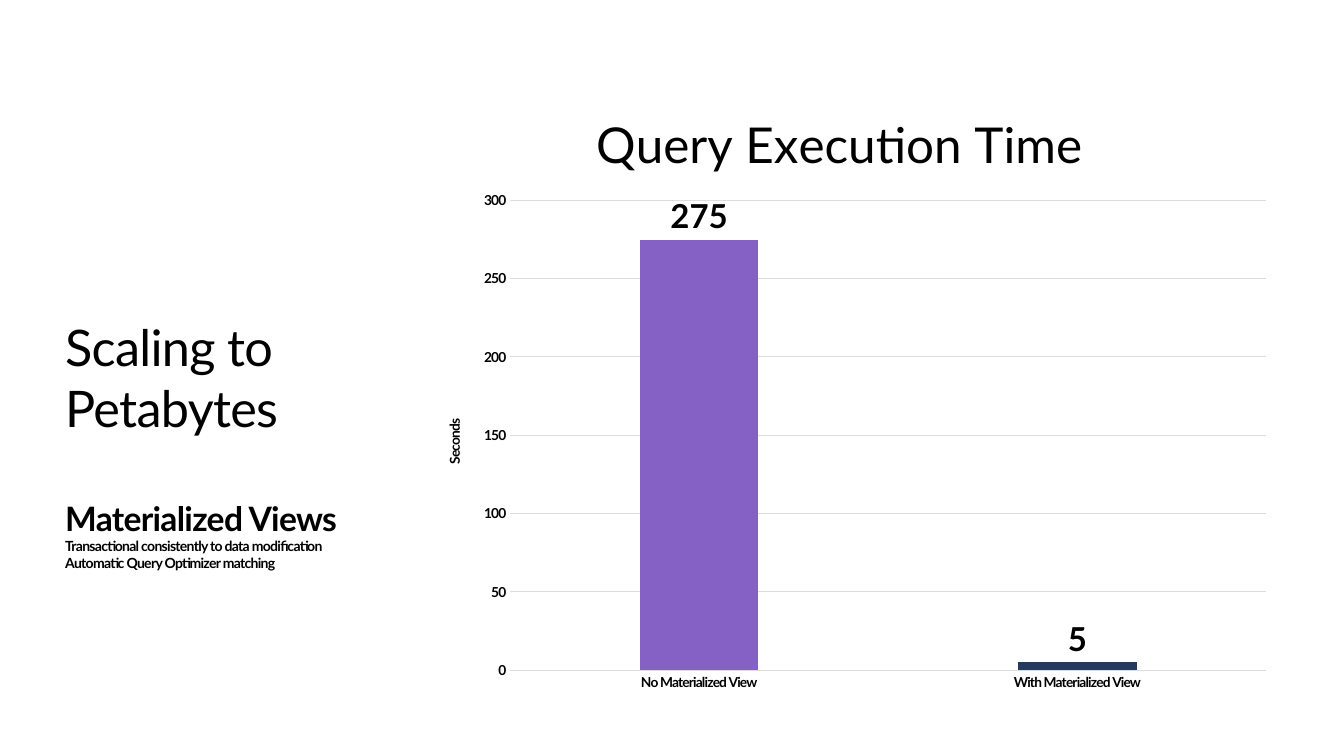
from dataclasses import dataclass

from lxml import etree
from pptx import Presentation
from pptx.chart.data import CategoryChartData
from pptx.dml.color import RGBColor
from pptx.enum import chart as ch, text
from pptx.oxml import ns
from pptx.util import Inches, Pt


@dataclass(frozen=True)
class Theme:
    font: str = "Lato"
    ink: str = "000000"
    grid: str = "DDDDDD"
    before: str = "8661C5"
    after: str = "243A5E"
    heading: float = 36.7
    subheading: float = 24.5
    body: float = 10.2
    chart_title: float = 36
    label: float = 24
    axis: float = 10


THEME = Theme()
TIGHT = "-50"


def style(font, size, bold=False):
    font.name = THEME.font
    font.size = Pt(size)
    font.bold = bold
    font.color.rgb = RGBColor.from_string(THEME.ink)


def tighten(element):
    for tag in ("a:rPr", "a:defRPr"):
        for props in element.iter(ns.qn(tag)):
            props.set("spc", TIGHT)


def set_line(line, color):
    line.color.rgb = RGBColor.from_string(color)
    line.width = Pt(0.75)


def set_fill(fill, color):
    fill.solid()
    fill.fore_color.rgb = RGBColor.from_string(color)


def place(parent, index, **fractions):
    for old in parent.findall(ns.qn("c:layout")):
        parent.remove(old)
    layout = etree.Element(ns.qn("c:layout"))
    manual = etree.SubElement(layout, ns.qn("c:manualLayout"))
    if "w" in fractions:
        etree.SubElement(manual, ns.qn("c:layoutTarget")).set("val", "inner")
    for side in ("x", "y"):
        etree.SubElement(manual, ns.qn(f"c:{side}Mode")).set("val", "edge")
    for name, value in fractions.items():
        etree.SubElement(manual, ns.qn(f"c:{name}")).set("val", str(value))
    parent.insert(index, layout)


def add_summary(s, left, top, width, height):
    tf = s.shapes.add_textbox(left, top, width, height).text_frame
    tf.word_wrap = True
    tf.margin_left = tf.margin_right = tf.margin_top = tf.margin_bottom = 0
    tf.vertical_anchor = text.MSO_ANCHOR.TOP
    lines = [
        ("Scaling to Petabytes", THEME.heading, False, 0),
        ("Materialized Views", THEME.subheading, True, 44),
        ("Transactional consistently to data modification", THEME.body, True, 0),
        ("Automatic Query Optimizer matching", THEME.body, True, 0),
    ]
    tf.text = "\n".join(line[0] for line in lines)
    for p, (_, size, bold, gap) in zip(tf.paragraphs, lines):
        p.space_before = Pt(gap)
        style(p.runs[0].font, size, bold)
        tighten(p.runs[0]._r)


def style_axis(axis):
    axis.major_tick_mark = axis.minor_tick_mark = ch.XL_TICK_MARK.NONE
    style(axis.tick_labels.font, THEME.axis, True)


def add_query_chart(s, left, top, width, height):
    data = CategoryChartData()
    data.categories = ["No Materialized View", "With Materialized View"]
    data.add_series("Series 1", (275, 5))
    chart = s.shapes.add_chart(
        ch.XL_CHART_TYPE.COLUMN_CLUSTERED, left, top, width, height, data
    ).chart
    chart.has_legend = False
    style(chart.font, THEME.axis)

    category, value = chart.category_axis, chart.value_axis
    style_axis(category)
    set_line(category.format.line, THEME.grid)
    style_axis(value)
    value.minimum_scale, value.maximum_scale, value.major_unit = 0, 300, 50
    value.format.line.fill.background()
    value.has_major_gridlines = True
    set_line(value.major_gridlines.format.line, THEME.grid)
    tf = value.axis_title.text_frame
    tf.text = "Seconds"
    style(tf.paragraphs[0].runs[0].font, THEME.axis, True)
    for axis in (category, value):
        tighten(axis._element)

    plot = chart.plots[0]
    plot.gap_width, plot.overlap = 219, -27
    plot.vary_by_categories = False
    series = plot.series[0]
    set_fill(series.format.fill, THEME.before)
    set_fill(series.points[1].format.fill, THEME.after)
    labels = series.data_labels
    labels.show_value = True
    labels.position = ch.XL_LABEL_POSITION.OUTSIDE_END
    style(labels.font, THEME.label, True)

    chart.has_title = True
    title = chart.chart_title
    title.text_frame.text = "Query Execution Time"
    style(title.text_frame.paragraphs[0].runs[0].font, THEME.chart_title)
    title.include_in_layout = False
    place(title._element, 1, x=0.19, y=0.04)
    plot_area = chart._chartSpace.chart.plotArea
    place(plot_area, 0, x=0.1, y=0.2, w=0.88, h=0.75)


def main():
    prs = Presentation()
    prs.slide_width, prs.slide_height = Inches(13.6), Inches(7.65)
    s = prs.slides.add_slide(prs.slide_layouts[6])
    add_summary(s, Inches(0.66), Inches(3.2), Inches(3.55), Inches(3.29))
    add_query_chart(s, Inches(4.29), Inches(0.76), Inches(8.7), Inches(6.34))
    prs.save("out.pptx")


if __name__ == "__main__":
    main()
